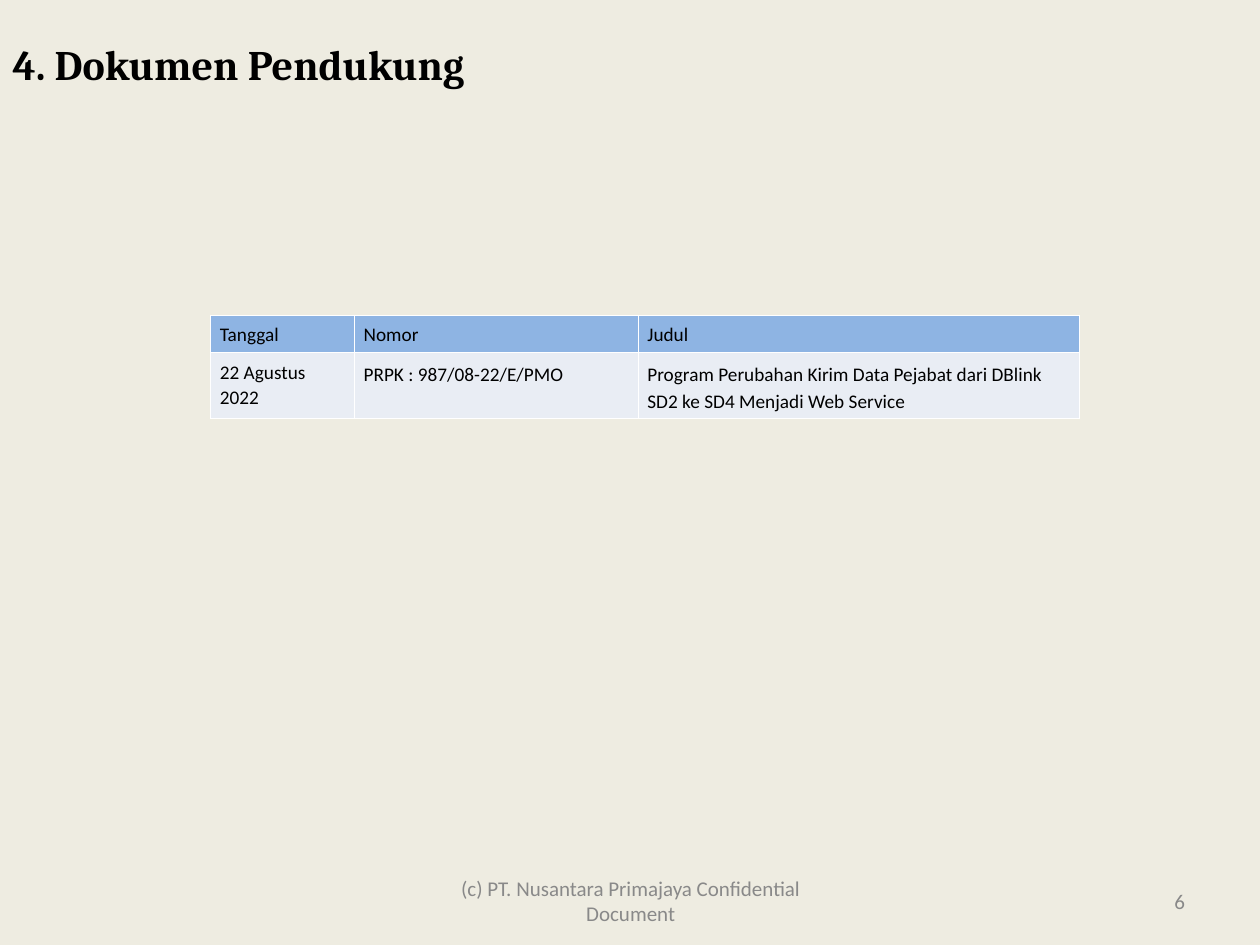
from lxml.etree import SubElement
from pptx import Presentation
from pptx.dml.color import RGBColor
from pptx.enum.text import MSO_ANCHOR, MSO_AUTO_SIZE, PP_ALIGN
from pptx.oxml.ns import qn
from pptx.util import Cm, Pt

COLORS = {
    "background": "EEECE1",
    "text": "000000",
    "footer": "898989",
    "header": "8EB4E3",
    "body": "E9EDF4",
    "border": "FFFFFF",
}
COLUMN_WIDTHS = (2.9, 5.72, 8.89)
ROW_HEIGHTS = (0.51, 1.07)
ROWS = (
    ("Tanggal", "Nomor", "Judul"),
    ("22 Agustus 2022", "PRPK : 987/08-22/E/PMO",
     "Program Perubahan Kirim Data Pejabat dari DBlink SD2 ke SD4 Menjadi Web Service"),
)


def rgb(name):
    return RGBColor.from_string(COLORS[name])


def format_text(tf, size, color, font="Calibri", bold=False, align=PP_ALIGN.LEFT):
    for p in tf.paragraphs:
        p.alignment = align
        for r in p.runs:
            r.font.name = font
            r.font.size = Pt(size)
            r.font.bold = bold
            r.font.color.rgb = rgb(color)


def set_title(s, text):
    title = s.shapes.title
    title.left, title.top, title.width, title.height = Cm(0), Cm(0.64), Cm(25.4), Cm(1.27)
    tf = title.text_frame
    tf.text = text
    tf.word_wrap = True
    tf.auto_size = MSO_AUTO_SIZE.SHAPE_TO_FIT_TEXT
    tf.vertical_anchor = MSO_ANCHOR.TOP
    format_text(tf, 24, "text", font="Cambria", bold=True)


def add_footer(s, text, left, width, align):
    sp = s.shapes.add_textbox(Cm(left), Cm(17.65), Cm(width), Cm(1.02))
    tf = sp.text_frame
    tf.text = text
    tf.word_wrap = True
    tf.vertical_anchor = MSO_ANCHOR.MIDDLE
    format_text(tf, 12, "footer", align=align)


def set_borders(cell):
    tcPr = cell._tc.get_or_add_tcPr()
    for i, side in enumerate(("a:lnL", "a:lnR", "a:lnT", "a:lnB")):
        ln = tcPr.makeelement(qn(side), {"w": str(Pt(0.45))})
        fill = SubElement(ln, qn("a:solidFill"))
        SubElement(fill, qn("a:srgbClr"), val=COLORS["border"])
        tcPr.insert(i, ln)  # borders must come before the cell fill


def format_cell(cell, text, fill, spacing):
    cell.text = text
    cell.margin_left = cell.margin_right = Cm(0.19)
    cell.margin_top = cell.margin_bottom = Cm(0.13)
    cell.fill.solid()
    cell.fill.fore_color.rgb = rgb(fill)
    cell.text_frame.paragraphs[0].line_spacing = spacing
    format_text(cell.text_frame, 11, "text")
    set_borders(cell)


def add_document_table(s):
    frame = s.shapes.add_table(len(ROWS), len(COLUMN_WIDTHS), Cm(4.24), Cm(6.35),
                               Cm(sum(COLUMN_WIDTHS)), Cm(sum(ROW_HEIGHTS)))
    table = frame.table
    for column, width in zip(table.columns, COLUMN_WIDTHS):
        column.width = Cm(width)
    for i, (row, height) in enumerate(zip(table.rows, ROW_HEIGHTS)):
        row.height = Cm(height)
        for j, text in enumerate(ROWS[i]):
            spacing = 1.15 if i and j else 1.07
            format_cell(table.cell(i, j), text, "body" if i else "header", spacing)


def main():
    prs = Presentation()
    prs.slide_width, prs.slide_height = Cm(25.4), Cm(19.05)
    s = prs.slides.add_slide(prs.slide_layouts[5])
    s.background.fill.solid()
    s.background.fill.fore_color.rgb = rgb("background")

    add_footer(s, "(c) PT. Nusantara Primajaya Confidential Document", 8.69, 8.05, PP_ALIGN.CENTER)
    add_footer(s, "6", 18.21, 5.93, PP_ALIGN.RIGHT)
    set_title(s, "4. Dokumen Pendukung")
    add_document_table(s)
    prs.save("out.pptx")


if __name__ == "__main__":
    main()
